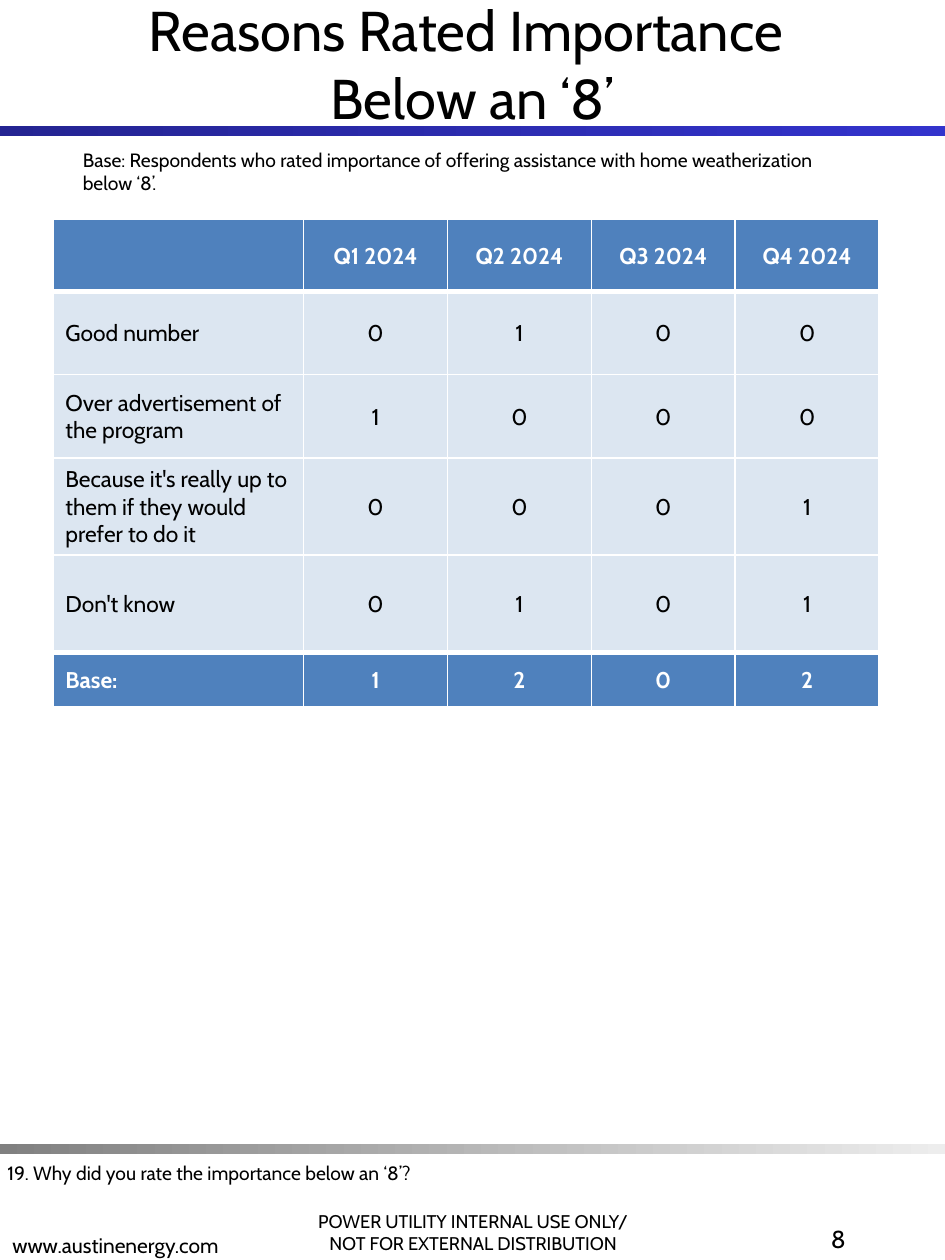
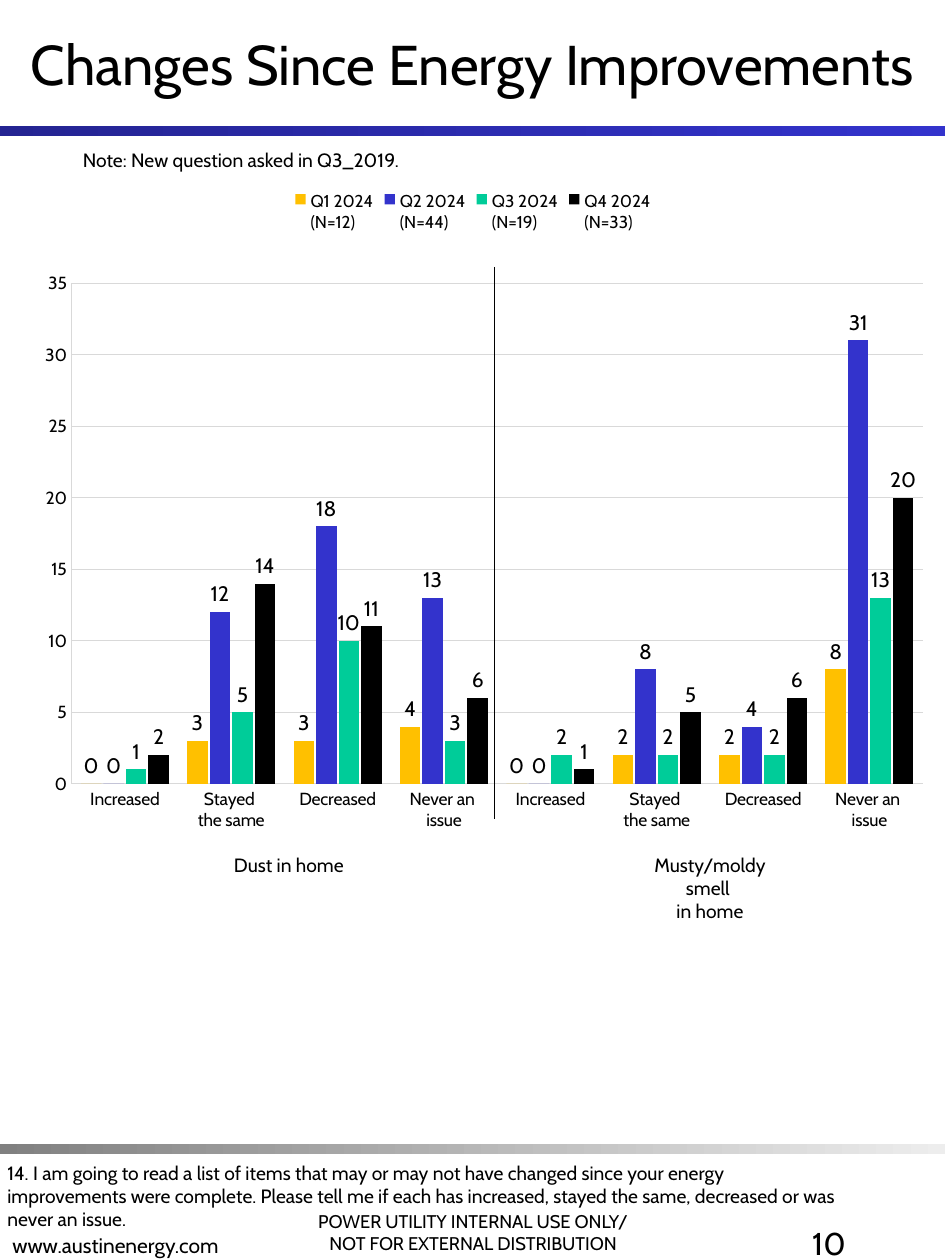
"""Build two survey result slides: a table of reasons and a chart of changes."""
from lxml.etree import SubElement
from pptx import Presentation
from pptx.chart.data import CategoryChartData
from pptx.dml.color import RGBColor
from pptx.enum.chart import XL_CHART_TYPE, XL_LABEL_POSITION, XL_LEGEND_POSITION, XL_TICK_MARK
from pptx.enum.shapes import MSO_CONNECTOR, MSO_SHAPE
from pptx.enum.text import MSO_ANCHOR, MSO_AUTO_SIZE, PP_ALIGN
from pptx.oxml import parse_xml
from pptx.oxml.ns import nsdecls, qn
from pptx.util import Cm, Pt

FONT = "Cabin"
BLACK = RGBColor(0x00, 0x00, 0x00)
WHITE = RGBColor(0xFF, 0xFF, 0xFF)
NAVY = RGBColor(0x24, 0x24, 0x92)
BLUE = RGBColor(0x33, 0x33, 0xCC)
GRAY = RGBColor(0x80, 0x80, 0x80)
PALE_GRAY = RGBColor(0xED, 0xED, 0xED)
GRID_GRAY = RGBColor(0xD9, 0xD9, 0xD9)
STEEL = RGBColor(0x4F, 0x81, 0xBD)
PALE_BLUE = RGBColor(0xDC, 0xE6, 0xF1)
GOLD = RGBColor(0xFF, 0xC0, 0x00)
GREEN = RGBColor(0x00, 0xCC, 0x99)

PAGE_WIDTH, PAGE_HEIGHT = 19.05, 25.4
BANDS = [(2.54, NAVY, BLUE), (23.06, GRAY, PALE_GRAY)]
BAND_HEIGHT = 0.2
USE_NOTICE = "POWER UTILITY INTERNAL USE ONLY/\nNOT FOR EXTERNAL DISTRIBUTION"
WEB_ADDRESS = "www.austinenergy.com"

REASONS = {
    "title": "Reasons Rated Importance \vBelow an ‘8’",
    "note": "Base: Respondents who rated importance of offering assistance with home "
            "weatherization\nbelow ‘8’.",
    "question": "19. Why did you rate the importance below an ‘8’?",
    "number": ("8", 14),
}
REASON_ROWS = [
    ("", "Q1 2024", "Q2 2024", "Q3 2024", "Q4 2024"),
    ("Good number", 0, 1, 0, 0),
    ("Over advertisement of the program", 1, 0, 0, 0),
    ("Because it's really up to them if they would prefer to do it", 0, 0, 0, 1),
    ("Don't know", 0, 1, 0, 1),
    ("Base:", 1, 2, 0, 2),
]
COLUMN_WIDTHS = [5.05] + [2.9] * 4
ROW_HEIGHTS = [1.45, 1.68, 1.68, 1.96, 1.96, 1.09]

CHANGES = {
    "title": "Changes Since Energy Improvements",
    "note": "Note: New question asked in Q3_2019.",
    "question": "14. I am going to read a list of items that may or may not have changed since "
                "your energy improvements were complete. Please tell me if each has increased, "
                "stayed the same, decreased or was never an issue.",
    "number": ("10", 18),
}
ANSWERS = ["Increased", "Stayed \nthe same", "Decreased", "Never an \nissue"]
QUARTERS = [
    ("Q1 2024\n(N=12)", GOLD, (0, 3, 3, 4, 0, 2, 2, 8)),
    ("Q2 2024\n(N=44)", BLUE, (0, 12, 18, 13, 0, 8, 4, 31)),
    ("Q3 2024\n(N=19)", GREEN, (1, 5, 10, 3, 2, 2, 2, 13)),
    ("Q4 2024\n(N=33)", BLACK, (2, 14, 11, 6, 1, 5, 6, 20)),
]
PLOT_AREA = {"x": 0.069, "y": 0.143, "w": 0.914, "h": 0.671}
ITEM_CAPTIONS = [(4.01, "Dust in home"), (12.5, "Musty/moldy smell \nin home")]
DIVIDER_X, DIVIDER_TOP, DIVIDER_BOTTOM = 9.96, 5.38, 16.51


def style_font(font, size, color=BLACK, bold=False):
    """Apply the deck font."""
    font.name, font.size, font.bold = FONT, Pt(size), bold
    font.color.rgb = color


def write(frame, text, size, align=PP_ALIGN.LEFT, color=BLACK, bold=False):
    """Fill a text frame and format all of its runs."""
    frame.text = text
    for para in frame.paragraphs:
        para.alignment = align
        for span in para.runs:
            style_font(span.font, size, color, bold)


def add_text(page, place, text, size, align=PP_ALIGN.LEFT, anchor=MSO_ANCHOR.TOP, wrap=True):
    """Add a text box at left, top, width, height in centimetres."""
    box = page.shapes.add_textbox(*map(Cm, place))
    box.text_frame.word_wrap = wrap
    box.text_frame.vertical_anchor = anchor
    write(box.text_frame, text, size, align)
    return box


def furnish_layout(layout, page):
    """Draw the bands and footers on a page and move them to its layout."""
    parts = []
    for top, start, end in BANDS:
        band = page.shapes.add_shape(
            MSO_SHAPE.RECTANGLE, 0, Cm(top), Cm(PAGE_WIDTH), Cm(BAND_HEIGHT))
        band.shadow.inherit = False
        band.line.fill.background()
        band.fill.gradient()
        band.fill.gradient_angle = 0
        for stop, color in zip(band.fill.gradient_stops, (start, end)):
            stop.color.rgb = color
        parts.append(band)
    parts.append(add_text(page, (5.49, 23.7, 8.1, 1.7), USE_NOTICE, 10.5,
                          PP_ALIGN.CENTER, MSO_ANCHOR.BOTTOM))
    parts.append(add_text(page, (0, 23.77, 8.1, 1.7), WEB_ADDRESS, 12,
                          anchor=MSO_ANCHOR.BOTTOM))
    for part in parts:
        layout.element.cSld.spTree.append(part.element)


def add_page(deck, content):
    """Add a page with its title, note, question and page number."""
    page = deck.slides.add_slide(deck.slide_layouts[5])
    title = page.shapes.title
    title.left, title.top, title.width, title.height = 0, 0, Cm(PAGE_WIDTH), Cm(2.54)
    title.text_frame.auto_size = MSO_AUTO_SIZE.NONE
    title.text_frame.vertical_anchor = MSO_ANCHOR.MIDDLE
    write(title.text_frame, content["title"], 32, PP_ALIGN.CENTER)
    add_text(page, (1.42, 2.87, 16.3, 0.74), content["note"], 11)
    add_text(page, (-0.1, 23.29, 17.4, 0.74), content["question"], 11)
    add_text(page, (13.34, 24.56, 3.96, 1.7), *content["number"], PP_ALIGN.RIGHT)
    return page


def set_borders(cell, widths):
    """Draw white cell borders, given widths in points by side."""
    properties = cell._tc.get_or_add_tcPr()
    for index, (side, width) in enumerate(widths.items()):
        properties.insert(index, parse_xml(
            f'<a:ln{side} {nsdecls("a")} w="{Pt(width)}"><a:solidFill>'
            f'<a:srgbClr val="{WHITE}"/></a:solidFill></a:ln{side}>'))


def add_reason_table(page):
    """Add the table of reasons by quarter."""
    last = len(REASON_ROWS) - 1
    table = page.shapes.add_table(
        len(REASON_ROWS), len(COLUMN_WIDTHS), Cm(1.07), Cm(4.42),
        Cm(sum(COLUMN_WIDTHS)), Cm(sum(ROW_HEIGHTS))).table
    for column, width in zip(table.columns, COLUMN_WIDTHS):
        column.width = Cm(width)
    for r, (row, height) in enumerate(zip(REASON_ROWS, ROW_HEIGHTS)):
        table.rows[r].height = Cm(height)
        strong = r in (0, last)
        for c, value in enumerate(row):
            cell = table.cell(r, c)
            cell.fill.solid()
            cell.fill.fore_color.rgb = STEEL if strong else PALE_BLUE
            cell.vertical_anchor = MSO_ANCHOR.MIDDLE
            cell.margin_left = Cm(0.03 if c else 0.25)
            cell.margin_top = cell.margin_right = Cm(0.03)
            cell.margin_bottom = 0
            write(cell.text_frame, str(value), 13, PP_ALIGN.CENTER if c else PP_ALIGN.LEFT,
                  WHITE if strong else BLACK, strong)
            set_borders(cell, {"L": 1, "R": 1, "T": 3 if r in (1, last) else 1,
                               "B": 3 if r in (0, last - 1) else 1})


def set_plot_area(chart):
    """Fix the inner plot area as fractions of the chart."""
    plot_area = chart._chartSpace.chart.plotArea
    for old in plot_area.findall(qn("c:layout")):
        plot_area.remove(old)
    layout = parse_xml(f'<c:layout {nsdecls("c")}><c:manualLayout/></c:layout>')
    settings = {"layoutTarget": "inner", "xMode": "edge", "yMode": "edge", **PLOT_AREA}
    for name, value in settings.items():
        SubElement(layout[0], qn(f"c:{name}")).set("val", str(value))
    plot_area.insert(0, layout)


def add_change_chart(page):
    """Add the clustered columns by answer and quarter."""
    data = CategoryChartData()
    data.categories = ANSWERS * len(ITEM_CAPTIONS)
    for name, _, values in QUARTERS:
        data.add_series(name, values)
    chart = page.shapes.add_chart(XL_CHART_TYPE.COLUMN_CLUSTERED, Cm(0.15), Cm(3.56),
                                  Cm(18.77), Cm(15.04), data).chart
    style_font(chart.font, 10)
    chart.has_title = False
    chart.has_legend = True
    chart.legend.position = XL_LEGEND_POSITION.TOP
    chart.legend.include_in_layout = False
    style_font(chart.legend.font, 9.8)
    for axis in (chart.category_axis, chart.value_axis):
        axis.major_tick_mark = axis.minor_tick_mark = XL_TICK_MARK.NONE
        axis.format.line.color.rgb = GRID_GRAY
        axis.format.line.width = Pt(0.6)
        style_font(axis.tick_labels.font, 10)
    scale = chart.value_axis
    scale.minimum_scale, scale.maximum_scale, scale.major_unit = 0, 35, 5
    scale.major_gridlines.format.line.color.rgb = GRID_GRAY
    scale.major_gridlines.format.line.width = Pt(0.6)
    plot = chart.plots[0]
    plot.vary_by_categories = False
    plot.gap_width, plot.overlap = 90, -10
    for series, (_, color, _) in zip(plot.series, QUARTERS):
        series.format.fill.solid()
        series.format.fill.fore_color.rgb = color
        labels = series.data_labels
        labels.show_value = True
        labels.position = XL_LABEL_POSITION.OUTSIDE_END
        style_font(labels.font, 12)
    set_plot_area(chart)


def add_item_split(page):
    """Name the two halves of the chart and divide them with a line."""
    for left, caption in ITEM_CAPTIONS:
        add_text(page, (left, 17.07, 3.63, 0.74), caption, 11, PP_ALIGN.CENTER, wrap=False)
    divider = page.shapes.add_connector(
        MSO_CONNECTOR.STRAIGHT, Cm(DIVIDER_X), Cm(DIVIDER_TOP), Cm(DIVIDER_X), Cm(DIVIDER_BOTTOM))
    divider.line.color.rgb = BLACK
    divider.line.width = Pt(0.25)
    SubElement(divider.element.spPr, qn("a:effectLst"))


def main():
    """Build and save the deck."""
    deck = Presentation()
    deck.slide_width, deck.slide_height = Cm(PAGE_WIDTH), Cm(PAGE_HEIGHT)
    reasons = add_page(deck, REASONS)
    furnish_layout(deck.slide_layouts[5], reasons)
    add_reason_table(reasons)
    changes = add_page(deck, CHANGES)
    add_change_chart(changes)
    add_item_split(changes)
    deck.save("out.pptx")


if __name__ == "__main__":
    main()
